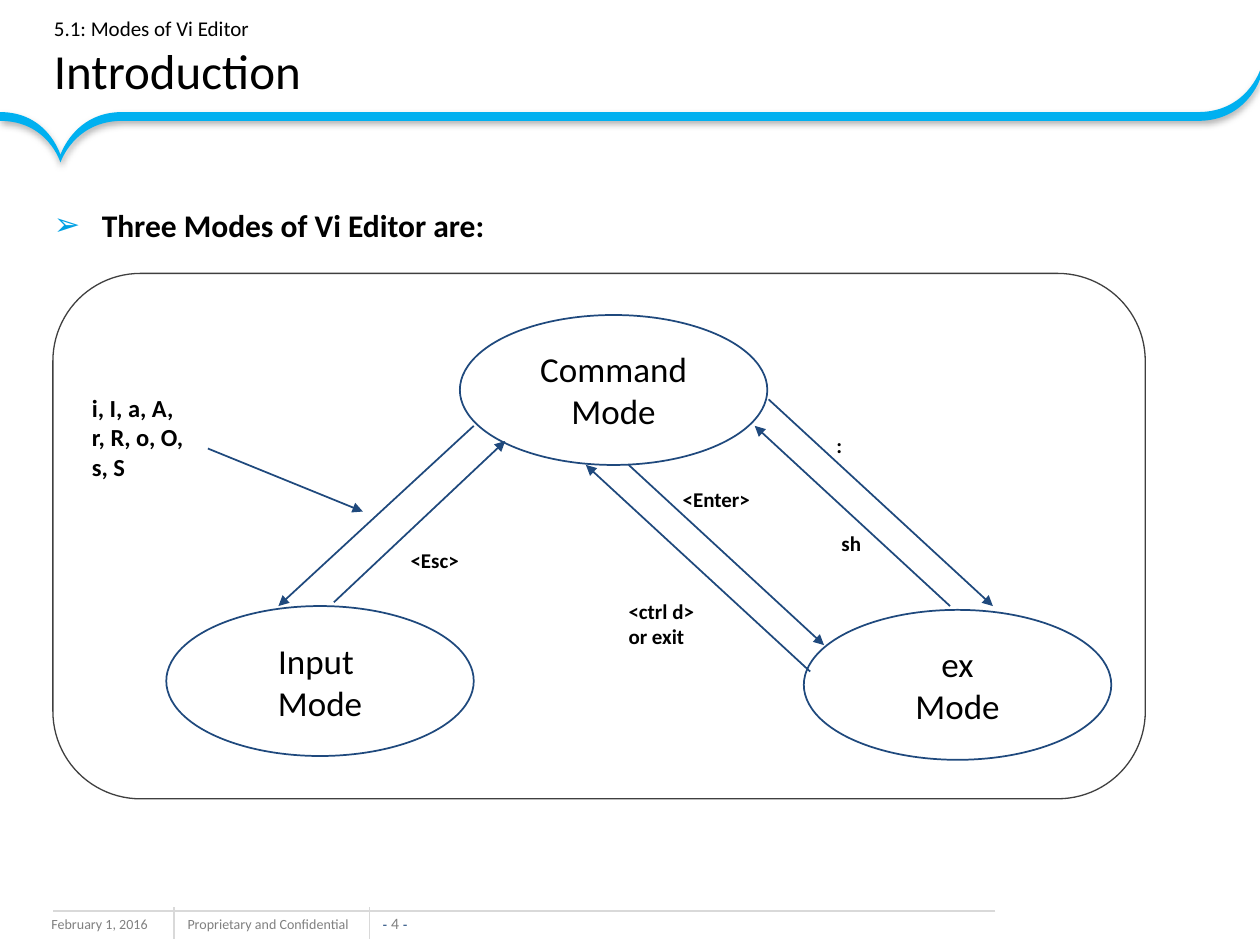
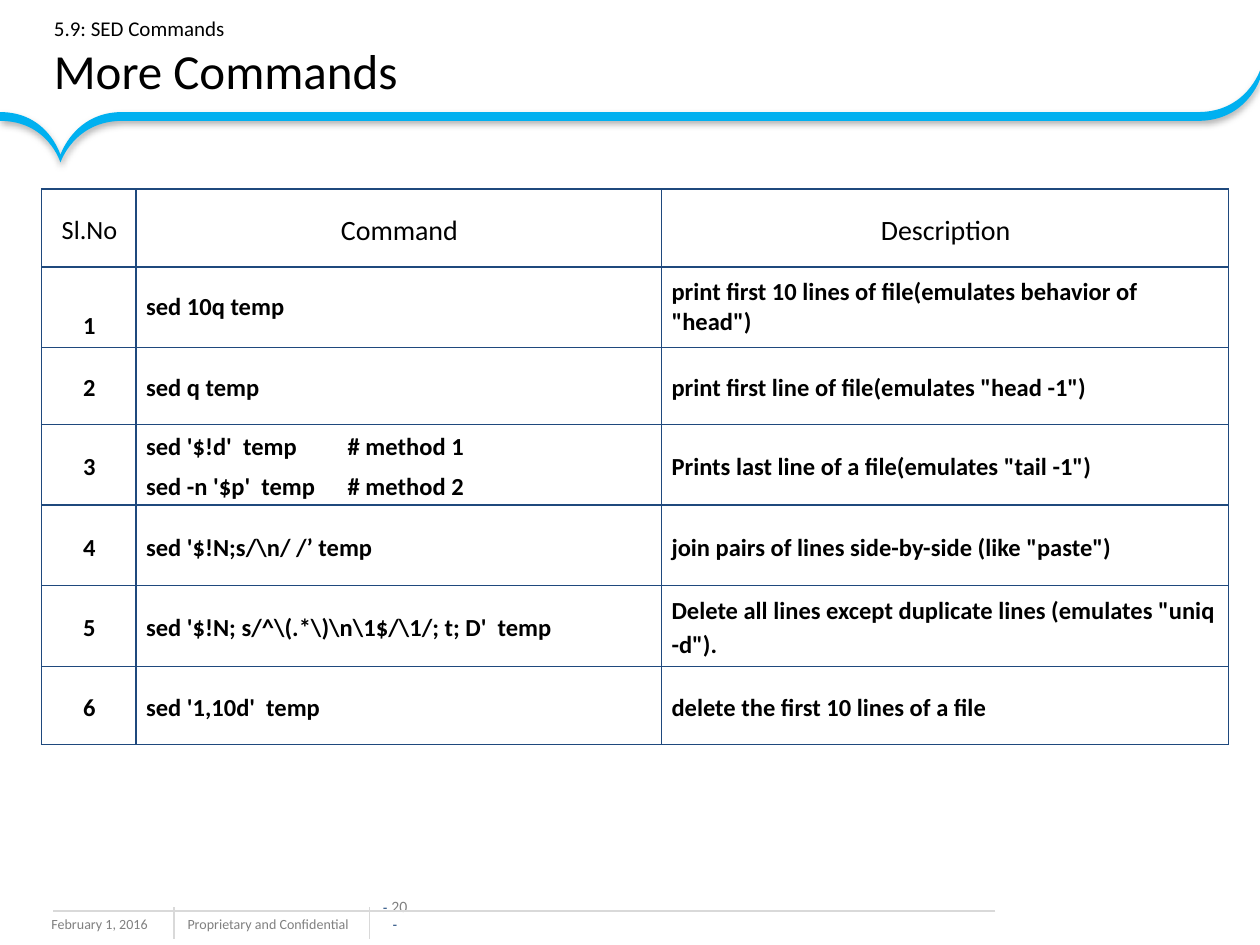
from lxml.etree import SubElement
from pptx import Presentation
from pptx.dml.color import RGBColor
from pptx.enum.shapes import MSO_CONNECTOR as CONN, MSO_SHAPE as SHAPE
from pptx.enum.text import MSO_ANCHOR as ANCHOR, PP_ALIGN as ALIGN
from pptx.oxml.ns import qn
from pptx.util import Pt

PX = 9144  # 100 px to the inch
rgb = RGBColor.from_string
BLACK, GREY, RULE, NAVY, SKY = "000000", "808080", "D9D9D9", "1F497D", "00B0F0"

KICKER = {"size": Pt(12), "color": BLACK}
TITLE = {"size": Pt(28), "color": BLACK}
FOOTER = {"size": Pt(8), "color": GREY}
PAGE = {"size": Pt(9), "color": GREY}
DASH = {"size": Pt(8), "color": NAVY, "name": "Arial"}
MODE = {"size": Pt(20), "color": BLACK}
LABEL = {"size": Pt(12), "color": BLACK, "bold": True}
KEYS = {"size": Pt(14), "color": BLACK, "bold": True}
BULLET = {"size": Pt(18), "color": BLACK, "bold": True}


def write(tf, paras, frame, para={}):
    """Fill a text frame; each paragraph is a list of (text, font) runs."""
    for key, value in frame.items():
        setattr(tf, key, value)
    for i, runs in enumerate(paras):
        p = tf.paragraphs[0] if i == 0 else tf.add_paragraph()
        for key, value in para.items():
            setattr(p, key, value)
        for text, font in runs:
            if text == "\n":
                p.add_line_break()
                continue
            r = p.add_run()
            r.text = text
            for key, value in {"name": "Calibri", **font}.items():
                if key == "color":
                    r.font.color.rgb = rgb(value)
                else:
                    setattr(r.font, key, value)
    return tf


def connect(s, x1, y1, x2, y2, color, width, arrow=False):
    """Draw a straight line, with an arrowhead at its end if asked."""
    c = s.shapes.add_connector(CONN.STRAIGHT, x1 * PX, y1 * PX, x2 * PX, y2 * PX)
    c.line.color.rgb = rgb(color)
    c.line.width = Pt(width)
    sp_pr = c._element.spPr
    if arrow:
        SubElement(sp_pr.find(qn("a:ln")), qn("a:tailEnd"), type="triangle")
    SubElement(sp_pr, qn("a:effectLst"))


prs = Presentation()
prs.slide_width, prs.slide_height = 1000 * PX, 750 * PX

# Header band: each curve has two control points and an end
BAND_TOP = 56
band_start = (951, 89)
band_curves = [
    [(97, 89)] * 3,
    [(59, 89), (48, 123), (48, 123)],
    [(48, 123), (38, 89), (0, 89)],
    [(0, 96)] * 3,
    [(38, 96), (48, 129), (48, 129)],
    [(48, 129), (59, 96), (97, 96)],
    [(951, 96)] * 3,
    [(989, 96), (1000, 63), (1000, 63)],
    [(1000, 56)] * 3,
    [(1000, 56), (989, 89), band_start],
]

# Shared parts of both slides
slides = []
for kicker, title, number in [
    ("5.1: Modes of Vi Editor", "Introduction", "4 "),
    ("5.9: SED Commands", "More Commands", "20 "),
]:
    s = prs.slides.add_slide(prs.slide_layouts[6])
    slides.append(s)

    # Footer
    page = [("- ", DASH), (number, PAGE), ("-", DASH)]
    no_inset = dict.fromkeys(
        ["margin_left", "margin_top", "margin_right", "margin_bottom"], 0)
    for at, runs, frame, para in [
        ((31, 722, 133, 25), [("February 1, 2016", FOOTER)], {"word_wrap": True}, {}),
        ((139, 722, 157, 24), [("Proprietary and Confidential", FOOTER)],
         {"word_wrap": False}, {}),
        ((301, 725, 25, 15), page,
         {"word_wrap": True, "vertical_anchor": ANCHOR.BOTTOM, **no_inset},
         {"alignment": ALIGN.CENTER}),
    ]:
        write(s.shapes.add_textbox(*[v * PX for v in at]).text_frame,
              [runs], frame, para)
    for ends in [(138, 720, 138, 745), (293, 720, 293, 745), (790, 723, 42, 723)]:
        connect(s, *ends, RULE, 0.75)

    # Header band: straight outline first, then each side becomes a curve
    fb = s.shapes.build_freeform(*band_start, scale=PX)
    fb.add_line_segments([curve[-1] for curve in band_curves], close=True)
    sp = fb.convert_to_shape()
    sides = list(sp._element.spPr.iter(qn("a:lnTo")))
    for side, curve in zip(sides, band_curves):
        side.tag = qn("a:cubicBezTo")
        side.remove(side[0])
        for x, y in curve:
            SubElement(side, qn("a:pt"), x=str(x), y=str(y - BAND_TOP))
    sp.shadow.inherit = False
    sp.fill.solid()
    sp.fill.fore_color.rgb = rgb(SKY)
    sp.line.fill.background()
    shadow = SubElement(sp._element.spPr.find(qn("a:effectLst")), qn("a:outerShdw"),
                        blurRad=str(Pt(4)), dist=str(Pt(2)), dir="5400000",
                        algn="t", rotWithShape="0")
    tint = SubElement(shadow, qn("a:srgbClr"), val=BLACK)
    SubElement(tint, qn("a:alpha"), val="31000")

    # Title
    tb = s.shapes.add_textbox(33 * PX, 2 * PX, 900 * PX, 87 * PX)
    write(tb.text_frame, [[(kicker, KICKER), ("\n", {}), (title, TITLE)]],
          {"word_wrap": True, "vertical_anchor": ANCHOR.MIDDLE})

modes, commands = slides

# Slide 1: the three modes
s = modes
for x, y, lines in [(365, 250, ["Command", "Mode"]), (638, 484, ["ex", "Mode"]),
                    (132, 481, ["Input ", "Mode"])]:
    sp = s.shapes.add_shape(SHAPE.OVAL, x * PX, y * PX, 244 * PX, 119 * PX)
    sp.shadow.inherit = False
    sp.fill.solid()
    sp.fill.fore_color.rgb = rgb("FFFFFF")
    sp.line.color.rgb = rgb(NAVY)
    sp.line.width = Pt(1)
    write(sp.text_frame, [[(line, MODE)] for line in lines],
          {"word_wrap": False, "vertical_anchor": ANCHOR.MIDDLE},
          {"alignment": ALIGN.CENTER})

# Transitions between modes, then the pointer from the key list
for ends in [(376, 338, 221, 481), (265, 478, 401, 350), (499, 369, 654, 512),
             (643, 533, 465, 369), (754, 481, 599, 338), (610, 317, 788, 481),
             (165, 356, 288, 406)]:
    connect(s, *ends, NAVY, 1, arrow=True)

# Transition labels
for x, y, w, h, font, lines in [
    (63, 307, 95, 81, KEYS, ["i, I, a, A,", "r, R, o, O,", "s, S"]),
    (316, 430, 61, 30, LABEL, ["<Esc>"]),
    (532, 381, 76, 30, LABEL, ["<Enter>"]),
    (658, 416, 36, 30, LABEL, ["sh"]),
    (654, 338, 24, 30, LABEL, [":"]),
    (489, 470, 74, 51, LABEL, ["<ctrl d>", "or exit"]),
]:
    tb = s.shapes.add_textbox(x * PX, y * PX, w * PX, h * PX)
    write(tb.text_frame, [[(line, font)] for line in lines], {"word_wrap": False})

# Frame around the diagram
sp = s.shapes.add_shape(SHAPE.ROUNDED_RECTANGLE, 42 * PX, 217 * PX, 867 * PX, 417 * PX)
sp.shadow.inherit = False
sp.fill.background()
sp.line.color.rgb = rgb("3F3F3F")
sp.line.width = Pt(0.75)

# Bulleted heading
tb = s.shapes.add_textbox(33 * PX, 133 * PX, 900 * PX, 76 * PX)
tf = write(tb.text_frame, [[("Three Modes of Vi Editor are:", BULLET)]],
           {"word_wrap": True}, {"line_spacing": Pt(40), "space_before": Pt(4)})
p_pr = tf.paragraphs[0]._p.get_or_add_pPr()
p_pr.set("marL", str(38 * PX))
p_pr.set("indent", str(-38 * PX))
SubElement(SubElement(p_pr, qn("a:buClr")), qn("a:srgbClr"), val="00A1E4")
SubElement(p_pr, qn("a:buFont"), typeface="Arial")
SubElement(p_pr, qn("a:buChar"), char="➢")

# Slide 2: table of commands
s = commands
rows = [
    ("Sl.No", "Command", "Description"),
    ("1", "sed 10q temp", 'print first 10 lines of file(emulates behavior of "head")'),
    ("2", "sed q temp", 'print first line of file(emulates "head -1")'),
    ("3", "sed '$!d'  temp\t# method 1\nsed -n '$p'  temp\t# method 2",
     'Prints last line of a file(emulates "tail -1")'),
    ("4", r"sed '$!N;s/\n/ /’ temp", 'join pairs of lines side-by-side (like "paste")'),
    ("5", r"sed '$!N; s/^\(.*\)\n\1$/\1/; t; D'  temp",
     'Delete all lines except duplicate lines (emulates "uniq -d").'),
    ("6", "sed '1,10d'  temp", "delete the first 10 lines of a file"),
]
widths = [75, 417, 450]
heights = [62, 64, 61, 64, 64, 64, 62]
tbl = s.shapes.add_table(len(rows), len(widths), 33 * PX, 150 * PX,
                         sum(widths) * PX, sum(heights) * PX).table
tbl.first_row = tbl.horz_banding = False
for col, width in zip(tbl.columns, widths):
    col.width = width * PX
for i, (row, height) in enumerate(zip(rows, heights)):
    tbl.rows[i].height = height * PX
    for j, text in enumerate(row):
        cell = tbl.cell(i, j)
        tc_pr = cell._tc.get_or_add_tcPr()
        for side in ("a:lnL", "a:lnR", "a:lnT", "a:lnB"):
            ln = SubElement(tc_pr, qn(side), w=str(Pt(1)))
            SubElement(SubElement(ln, qn("a:solidFill")), qn("a:srgbClr"), val=NAVY)
        cell.fill.background()
        top = 26 * PX if (i, j) == (1, 0) else 0  # the first number sits lower
        for key, value in {"vertical_anchor": ANCHOR.MIDDLE, "margin_left": 8 * PX,
                           "margin_right": 7 * PX, "margin_top": top,
                           "margin_bottom": 0}.items():
            setattr(cell, key, value)
        size = (15 if j == 0 else 16) if i == 0 else 14
        font = {"size": Pt(size), "color": BLACK, "bold": i > 0}
        para = {"alignment": ALIGN.CENTER if i == 0 or j == 0 else ALIGN.LEFT,
                "line_spacing": 1.0 if i == 1 and j > 0 else 1.15,
                "space_before": Pt(3)}
        tf = write(cell.text_frame, [[(line, font)] for line in text.split("\n")],
                   {}, para)
        if "\t" in text:
            for p in tf.paragraphs:
                tabs = SubElement(p._p.get_or_add_pPr(), qn("a:tabLst"))
                SubElement(tabs, qn("a:tab"), pos=str(160 * PX), algn="l")

prs.save("out.pptx")
